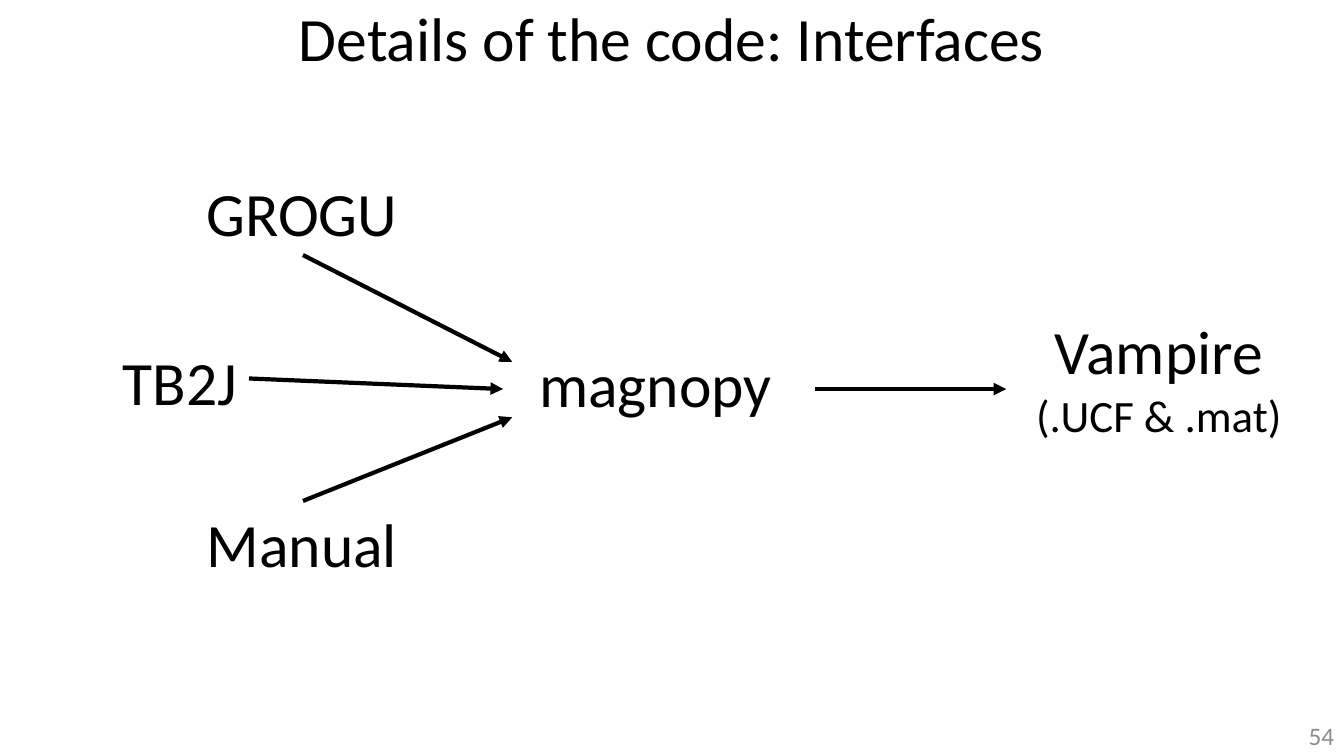
"""Build the slide that shows the interfaces of the code."""
from pptx import Presentation
from pptx.dml.color import RGBColor
from pptx.enum.shapes import MSO_CONNECTOR
from pptx.enum.text import MSO_ANCHOR, MSO_AUTO_SIZE, PP_ALIGN
from pptx.oxml.ns import qn
from pptx.util import Inches, Pt
from lxml.etree import SubElement

BLACK = RGBColor(0x00, 0x00, 0x00)
GRAY = RGBColor(0x8C, 0x8C, 0x8C)
FONT = "Calibri"


def add_text(slide, box, lines, align=PP_ALIGN.LEFT, color=BLACK,
             anchor=MSO_ANCHOR.TOP, wrap=True):
    """Add a text box with one paragraph for each (text, size) pair."""
    shape = slide.shapes.add_textbox(*map(Inches, box))
    frame = shape.text_frame
    frame.word_wrap = wrap
    frame.vertical_anchor = anchor
    for index, (text, size) in enumerate(lines):
        paragraph = frame.add_paragraph() if index else frame.paragraphs[0]
        paragraph.text = text
        paragraph.alignment = align
        paragraph.font.name = FONT
        paragraph.font.size = Pt(size)
        paragraph.font.color.rgb = color
    return shape


def add_label(slide, box, lines, align=PP_ALIGN.LEFT):
    """Add a diagram label whose box fits its text."""
    shape = add_text(slide, box, lines, align, wrap=False)
    shape.text_frame.auto_size = MSO_AUTO_SIZE.SHAPE_TO_FIT_TEXT
    return shape


def add_arrow(slide, start, end, source=None, site=None):
    """Add a straight arrow, joined to a source label if one is given."""
    arrow = slide.shapes.add_connector(
        MSO_CONNECTOR.STRAIGHT, *map(Inches, start + end))
    if source is not None:
        arrow.begin_connect(source, site)
    arrow.line.color.rgb = BLACK
    arrow.line.width = Pt(3)
    SubElement(arrow.line._get_or_add_ln(), qn("a:tailEnd"), type="triangle")
    SubElement(arrow._element.spPr, qn("a:effectLst"))


def main():
    """Create the presentation and save it."""
    presentation = Presentation()
    presentation.slide_width = Inches(13.33)
    presentation.slide_height = Inches(7.5)
    slide = presentation.slides.add_slide(presentation.slide_layouts[6])

    title = add_text(slide, (0, 0, 13.33, 0.79),
                     [("Details of the code: Interfaces", 44)],
                     PP_ALIGN.CENTER, anchor=MSO_ANCHOR.BOTTOM)
    title.text_frame.paragraphs[0].line_spacing = 0.9
    add_text(slide, (10.33, 7.1, 3, 0.4), [("54", 18)],
             PP_ALIGN.RIGHT, GRAY, MSO_ANCHOR.MIDDLE)

    add_label(slide, (5.25, 3.38, 2.53, 0.79), [("magnopy", 44)])
    add_label(slide, (10.16, 3.06, 2.67, 1.38),
              [("Vampire", 44), ("(.UCF & .mat)", 32)], PP_ALIGN.CENTER)

    inputs = [
        ("GROGU", (1.95, 1.69, 2.11, 0.84), (3, 2.53), (5.08, 3.59), 2),
        ("TB2J", (1.12, 3.36, 1.35, 0.79), (2.47, 3.78), (4.99, 3.86), 3),
        ("Manual", (1.95, 4.97, 2.11, 0.84), (3, 4.97), (5.08, 4.14), 0),
    ]
    for name, box, start, end, site in inputs:
        label = add_label(slide, box, [(name, 44)])
        add_arrow(slide, start, end, label, site)
    add_arrow(slide, (8.08, 3.86), (9.98, 3.86))

    presentation.save("out.pptx")


if __name__ == "__main__":
    main()
